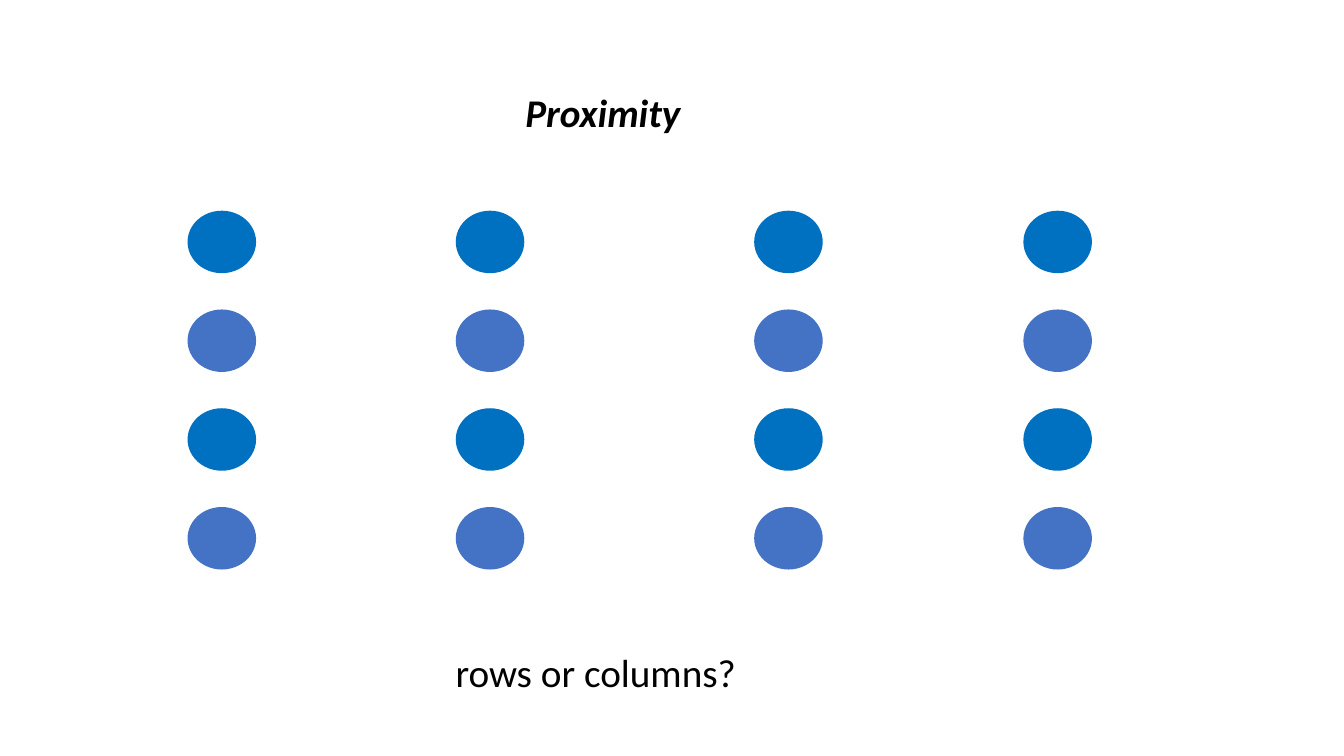
from dataclasses import dataclass
from itertools import product

from pptx import Presentation
from pptx.dml.color import RGBColor
from pptx.enum.shapes import MSO_SHAPE
from pptx.enum.text import MSO_ANCHOR, MSO_AUTO_SIZE, PP_ALIGN
from pptx.util import Inches, Pt


@dataclass(frozen=True)
class Theme:
    font: str = "Calibri"
    text_size: int = 28
    text: RGBColor = RGBColor(0x00, 0x00, 0x00)
    background: RGBColor = RGBColor(0xFF, 0xFF, 0xFF)
    odd_row: RGBColor = RGBColor(0x00, 0x70, 0xC0)
    even_row: RGBColor = RGBColor(0x44, 0x72, 0xC4)


THEME = Theme()

# Dot grid: even rows, with a wider gap between the middle columns
COLUMN_LEFTS = (1.86, 4.52, 7.48, 10.15)
ROW_COUNT = 4
FIRST_ROW_TOP = 2.09
ROW_STEP = 0.98
DOT_WIDTH, DOT_HEIGHT = 0.68, 0.62


def place(shape, left, top, width, height):
    shape.left, shape.top = Inches(left), Inches(top)
    shape.width, shape.height = Inches(width), Inches(height)


def write_line(shape, text, emphasis=False):
    """Write one unwrapped, left-aligned line into a text shape."""
    frame = shape.text_frame
    frame.word_wrap = False
    frame.auto_size = MSO_AUTO_SIZE.SHAPE_TO_FIT_TEXT
    frame.vertical_anchor = MSO_ANCHOR.TOP
    paragraph = frame.paragraphs[0]
    paragraph.alignment = PP_ALIGN.LEFT
    run = paragraph.add_run()
    run.text = text
    run.font.name = THEME.font
    run.font.size = Pt(THEME.text_size)
    run.font.color.rgb = THEME.text
    run.font.bold = run.font.italic = emphasis


def add_title(slide, text):
    title = slide.shapes.title
    place(title, 5.11, 0.83, 1.76, 0.57)
    write_line(title, text, emphasis=True)


def add_question(slide, text):
    question = slide.shapes.add_textbox(
        Inches(4.42), Inches(6.38), Inches(3.13), Inches(0.57))
    write_line(question, text)


def add_dot(slide, left, top, color):
    dot = slide.shapes.add_shape(
        MSO_SHAPE.OVAL, Inches(left), Inches(top),
        Inches(DOT_WIDTH), Inches(DOT_HEIGHT))
    dot.shadow.inherit = False
    dot.fill.solid()
    dot.fill.fore_color.rgb = color
    dot.line.fill.background()


def add_dot_grid(slide):
    row_colors = (THEME.odd_row, THEME.even_row)
    for left, row in product(COLUMN_LEFTS, range(ROW_COUNT)):
        add_dot(slide, left, FIRST_ROW_TOP + row * ROW_STEP, row_colors[row % 2])


def main():
    presentation = Presentation()
    presentation.slide_width = Inches(13.33)
    presentation.slide_height = Inches(7.5)

    # Title Only layout
    slide = presentation.slides.add_slide(presentation.slide_layouts[5])
    slide.background.fill.solid()
    slide.background.fill.fore_color.rgb = THEME.background

    add_title(slide, "Proximity")
    add_dot_grid(slide)
    add_question(slide, "rows or columns?")

    presentation.save("out.pptx")


if __name__ == "__main__":
    main()
